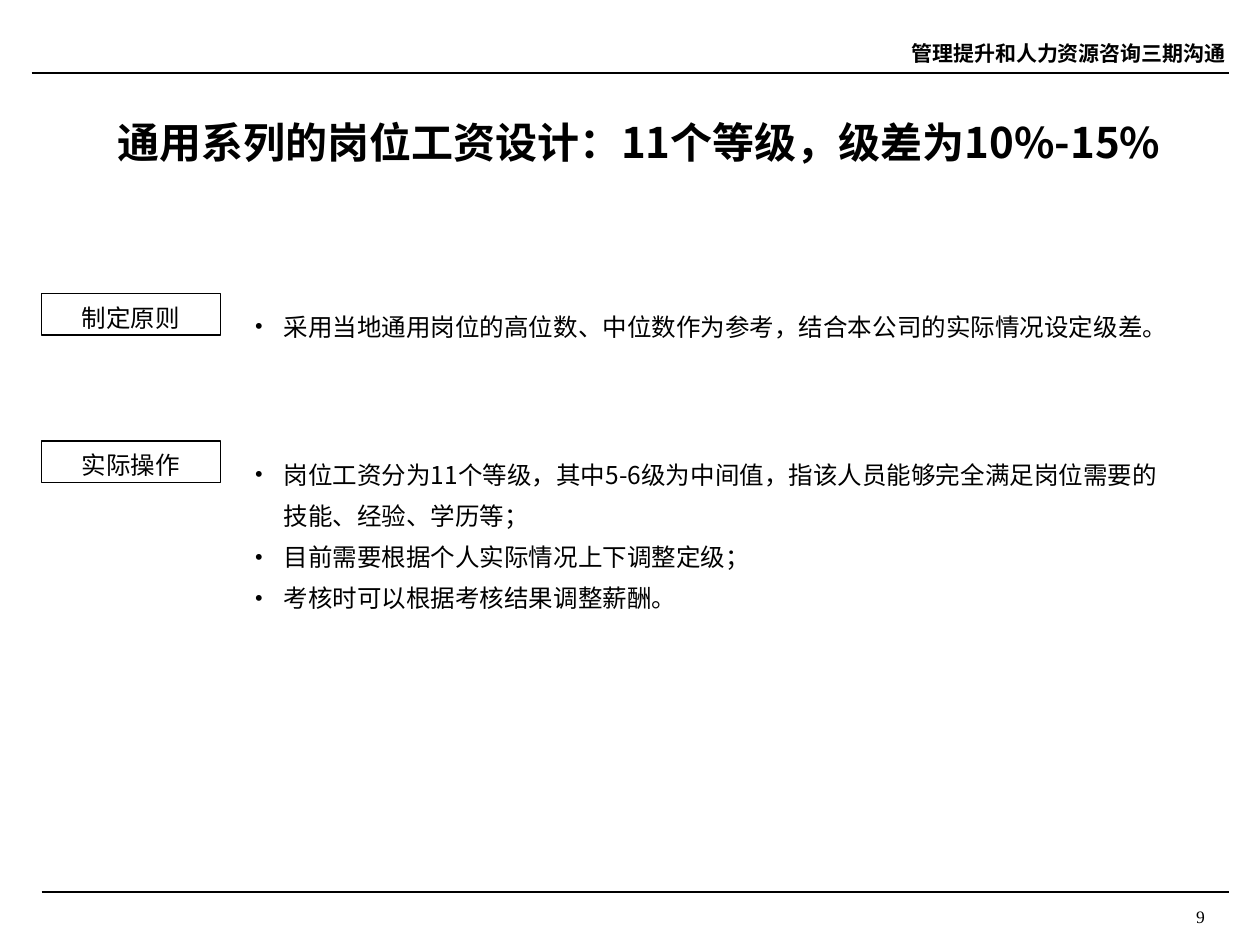
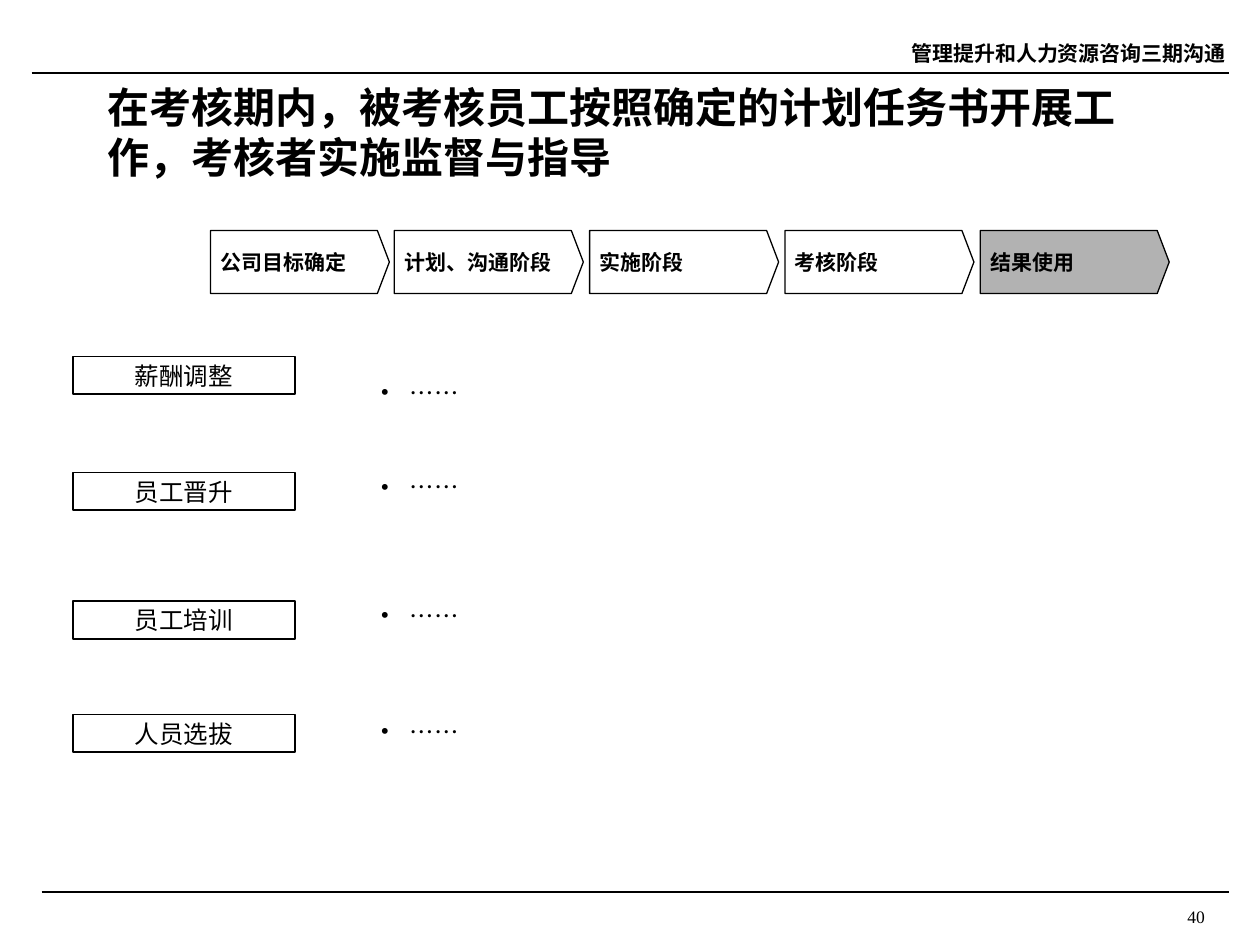
from dataclasses import dataclass

from lxml import etree
from pptx import Presentation
from pptx.dml.color import RGBColor
from pptx.enum.shapes import MSO_CONNECTOR as Connector, MSO_SHAPE as Shape
from pptx.enum.text import MSO_ANCHOR as Anchor, MSO_AUTO_SIZE as AutoSize, PP_ALIGN as Align
from pptx.oxml.ns import qn
from pptx.util import Inches, Pt


@dataclass(frozen=True)
class Theme:
    ink: RGBColor = RGBColor(0x00, 0x00, 0x00)
    active: RGBColor = RGBColor(0xB2, 0xB2, 0xB2)
    sans: str = "Noto Sans CJK SC"
    serif: str = "Times New Roman"
    title_size: int = 24
    body_size: int = 14
    small_size: int = 12
    number_size: int = 10
    rule_width: float = 0.75
    bullet_indent: float = 0.23


HEADER = "管理提升和人力资源咨询三期沟通"
TITLE_LAYOUT_TWO_LISTS = 3
TITLE_LAYOUT_FOUR_LISTS = 4


class SlideBuilder:
    """Holds the style and the current slide."""

    def __init__(self, deck, theme):
        self.deck = deck
        self.theme = theme
        self.page = None
        self.free_lists = []

    def start(self, layout, title, title_at, number, font):
        """Add a slide with its title and the shared header and footer."""
        self.page = self.deck.slides.add_slide(self.deck.slide_layouts[layout])
        self.free_lists = list(self.page.placeholders)[1:]
        self.rule(0.33, 7.08)
        self.label(HEADER, (6.75, 0.17, 3.08, 0.5))
        self.rule(0.25, 0.58)
        self.place(self.page.shapes.title, title_at)
        self.set_text(self.page.shapes.title, [title], self.theme.title_size, font, bold=True)
        number_box = self.page.shapes.add_textbox(*map(Inches, (7.08, 7.14, 2.58, 0.19)))
        self.set_text(number_box, [str(number)], self.theme.number_size, self.theme.serif,
                      align=Align.RIGHT, anchor=Anchor.TOP)

    def place(self, shape, at):
        shape.left, shape.top, shape.width, shape.height = map(Inches, at)

    def set_text(self, shape, lines, size, font, bold=False, align=Align.LEFT,
                 anchor=Anchor.MIDDLE, spacing=1.0, side=0.1, bulleted=False):
        frame = shape.text_frame
        frame.word_wrap = True
        frame.auto_size = AutoSize.NONE
        frame.vertical_anchor = anchor
        frame.margin_left = frame.margin_right = Inches(side)
        frame.margin_top = frame.margin_bottom = Inches(0.05)
        for index, line in enumerate(lines):
            para = frame.add_paragraph() if index else frame.paragraphs[0]
            if bulleted:
                self.bullet(para)
            para.alignment = align
            para.line_spacing = spacing
            para.space_before = para.space_after = Pt(0)
            span = para.add_run()
            span.text = line
            span.font.size = Pt(size)
            span.font.bold = bold
            span.font.color.rgb = self.theme.ink
            span.font.name = font
            # East Asian glyphs always use the sans face
            east = etree.SubElement(span.font._element, qn("a:ea"))
            east.set("typeface", self.theme.sans)

    def bullet(self, para):
        properties = para._p.get_or_add_pPr()
        indent = Inches(self.theme.bullet_indent)
        properties.set("marL", str(indent))
        properties.set("indent", str(-indent))
        etree.SubElement(properties, qn("a:buFont")).set("typeface", self.theme.serif)
        etree.SubElement(properties, qn("a:buChar")).set("char", "•")

    def rule(self, left, top, right=9.75):
        line = self.page.shapes.add_connector(
            Connector.STRAIGHT, Inches(left), Inches(top), Inches(right), Inches(top))
        line.line.color.rgb = self.theme.ink
        line.line.width = Pt(self.theme.rule_width)
        etree.SubElement(line._element.spPr, qn("a:effectLst"))

    def label(self, text, at):
        box = self.page.shapes.add_textbox(*map(Inches, at))
        self.set_text(box, [text], self.theme.small_size, self.theme.sans,
                      bold=True, align=Align.RIGHT)

    def outlined(self, kind, at, width, fill=None):
        shape = self.page.shapes.add_shape(kind, *map(Inches, at))
        shape.shadow.inherit = False
        shape.line.color.rgb = self.theme.ink
        shape.line.width = Pt(width)
        if fill is None:
            shape.fill.background()
        else:
            shape.fill.solid()
            shape.fill.fore_color.rgb = fill
        return shape

    def heading(self, text, at, font, width, spacing=1.0):
        box = self.outlined(Shape.RECTANGLE, at, width)
        self.set_text(box, [text], self.theme.body_size, font,
                      align=Align.CENTER, spacing=spacing)

    def step(self, text, at, fill=None):
        arrow = self.outlined(Shape.PENTAGON, at, self.theme.rule_width, fill)
        arrow.adjustments[0] = 0.19
        self.set_text(arrow, [text], self.theme.small_size, self.theme.serif,
                      bold=True, side=0.08)

    def bullets(self, lines, at, spacing=1.0):
        """Fill the next body placeholder with a bulleted list."""
        body = self.free_lists.pop(0)
        self.place(body, at)
        self.set_text(body, lines, self.theme.body_size, self.theme.sans,
                      spacing=spacing, bulleted=True)


def build_salary_slide(builder):
    theme = builder.theme
    builder.start(TITLE_LAYOUT_TWO_LISTS, "通用系列的岗位工资设计：11个等级，级差为10%-15%",
                  (0.83, 0.75, 8.5, 0.75), 9, theme.sans)
    sections = [
        ("制定原则", 2.33, (1.92, 1.92, 7.33, 1.25),
         ["采用当地通用岗位的高位数、中位数作为参考，结合本公司的实际情况设定级差。"]),
        ("实际操作", 3.5, (1.92, 3.5, 7.5, 1.42),
         ["岗位工资分为11个等级，其中5-6级为中间值，指该人员能够完全满足岗位需要的技能、经验、学历等；",
          "目前需要根据个人实际情况上下调整定级；",
          "考核时可以根据考核结果调整薪酬。"]),
    ]
    for name, top, list_at, lines in sections:
        builder.heading(name, (0.33, top, 1.42, 0.33), theme.sans, theme.rule_width, spacing=1.2)
        builder.bullets(lines, list_at, spacing=1.4)


def build_results_slide(builder):
    theme = builder.theme
    builder.start(TITLE_LAYOUT_FOUR_LISTS,
                  "在考核期内，被考核员工按照确定的计划任务书开展工作，考核者实施监督与指导",
                  (0.75, 0.67, 8.5, 0.75), 40, theme.serif)

    # Process steps: a shorter first arrow, then equal ones; the last is active
    builder.step("公司目标确定", (1.67, 1.83, 1.42, 0.5))
    later_steps = ["计划、沟通阶段", "实施阶段", "考核阶段", "结果使用"]
    for index, name in enumerate(later_steps):
        fill = theme.active if name == later_steps[-1] else None
        builder.step(name, (3.13 + 1.55 * index, 1.83, 1.5, 0.5), fill)

    # Uses of the results: heading top and list top
    uses = [("薪酬调整", 2.83, 2.73), ("员工晋升", 3.75, 3.48),
            ("员工培训", 4.77, 4.5), ("人员选拔", 5.67, 5.42)]
    for name, top, list_top in uses:
        builder.heading(name, (0.58, top, 1.76, 0.3), theme.serif, 1)
        builder.bullets(["……"], (2.92, list_top, 6.25, 0.77))


def main():
    deck = Presentation()
    deck.slide_width, deck.slide_height = Inches(10), Inches(7.5)
    builder = SlideBuilder(deck, Theme())
    build_salary_slide(builder)
    build_results_slide(builder)
    deck.save("out.pptx")


if __name__ == "__main__":
    main()
